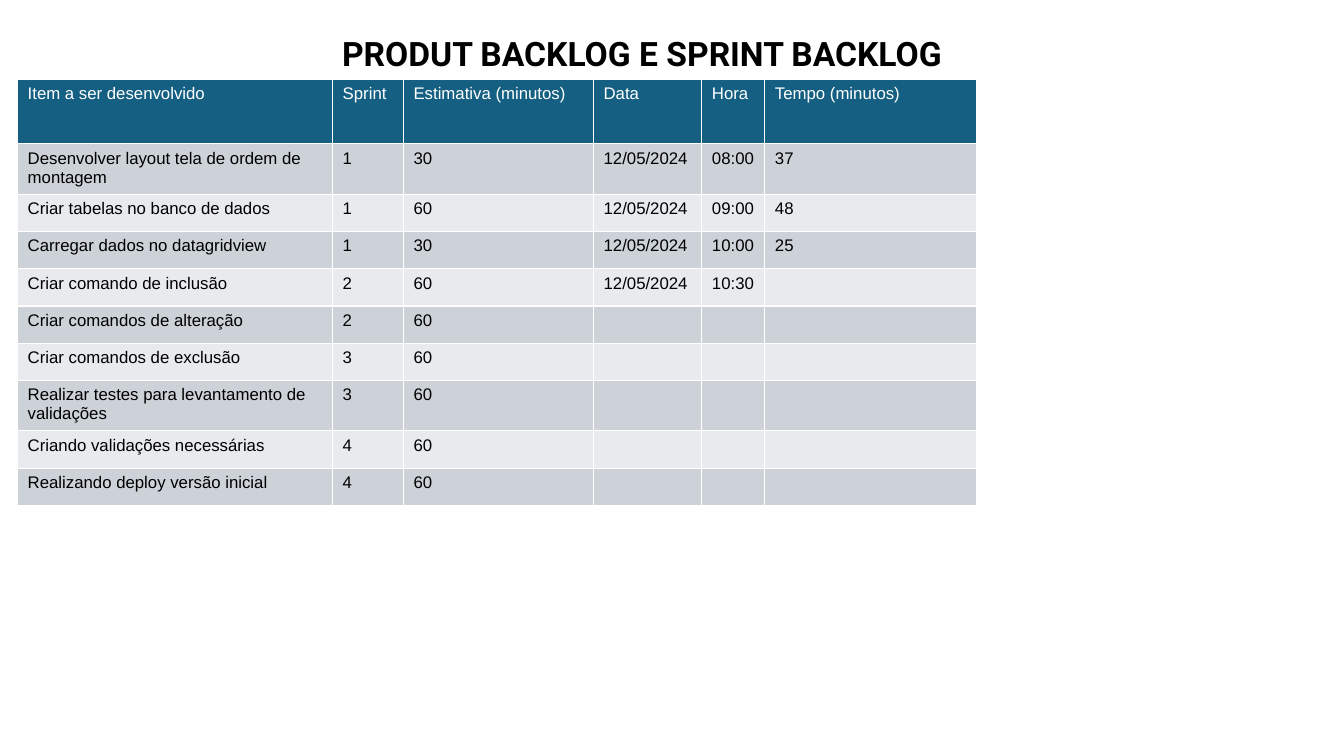
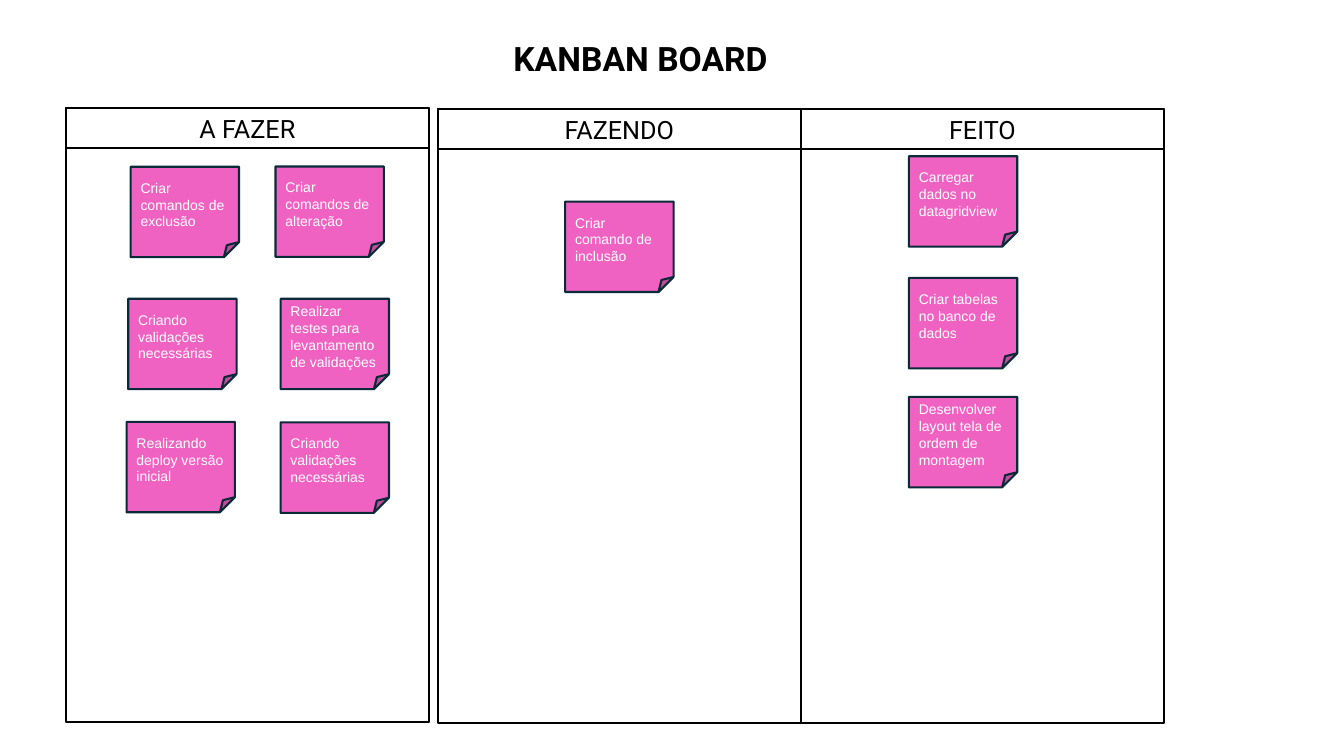
from lxml import etree
from pptx import Presentation
from pptx.dml.color import RGBColor
from pptx.enum.shapes import MSO_SHAPE
from pptx.enum.text import MSO_ANCHOR, MSO_AUTO_SIZE, PP_ALIGN
from pptx.oxml.ns import qn
from pptx.util import Pt

RECTANGLE, FOLDED_CORNER = MSO_SHAPE.RECTANGLE, MSO_SHAPE.FOLDED_CORNER
MIDDLE = MSO_ANCHOR.MIDDLE
FIT_SHAPE = MSO_AUTO_SIZE.SHAPE_TO_FIT_TEXT
LEFT, CENTER = PP_ALIGN.LEFT, PP_ALIGN.CENTER

BLACK = RGBColor(0x00, 0x00, 0x00)
WHITE = RGBColor(0xFF, 0xFF, 0xFF)
HEADER_BLUE = RGBColor(0x15, 0x60, 0x82)
BAND_DARK = RGBColor(0xCC, 0xD2, 0xD8)
BAND_LIGHT = RGBColor(0xE8, 0xEA, 0xED)
NOTE_PINK = RGBColor(0xF0, 0x62, 0xC1)
NOTE_EDGE = RGBColor(0x09, 0x2A, 0x39)

TITLE = {"name": "Roboto", "size": Pt(24), "bold": True}
HEADING = {"name": "Roboto", "size": Pt(18), "bold": False}
CELL = {"name": "Arial", "size": Pt(12), "bold": False}
NOTE = {"name": "Arial", "size": Pt(10), "bold": False}


def write(frame, text, style, color, align=LEFT):
    para = frame.paragraphs[0]
    para.alignment = align
    span = para.add_run()
    span.text = text
    for name, value in style.items():
        setattr(span.font, name, value)
    span.font.color.rgb = color


def add_box(shapes, kind, place, fill, edge):
    box = shapes.add_shape(kind, *(Pt(length) for length in place))
    box.shadow.inherit = False
    box.fill.solid()
    box.fill.fore_color.rgb = fill
    box.line.color.rgb = edge
    box.line.width = Pt(1.5)
    box.text_frame.word_wrap = True
    box.text_frame.vertical_anchor = MIDDLE
    return box


deck = Presentation()
deck.slide_width, deck.slide_height = Pt(960), Pt(540)

# Pages and their titles
pages = []
for title, left, top in [
    ("PRODUT BACKLOG E SPRINT BACKLOG", 26, 20),
    ("KANBAN BOARD", 25, 23.3),
]:
    page = deck.slides.add_slide(deck.slide_layouts[6])
    box = page.shapes.add_textbox(Pt(left), Pt(top), Pt(865), Pt(36))
    box.text_frame.word_wrap = True
    box.text_frame.auto_size = FIT_SHAPE
    write(box.text_frame, title, TITLE, BLACK, CENTER)
    pages.append(page)
backlog_page, kanban_page = pages

# Backlog table
backlog = [
    ("Item a ser desenvolvido", "Sprint", "Estimativa (minutos)", "Data", "Hora", "Tempo (minutos)"),
    ("Desenvolver layout tela de ordem de montagem", "1", "30", "12/05/2024", "08:00", "37"),
    ("Criar tabelas no banco de dados", "1", "60", "12/05/2024", "09:00", "48"),
    ("Carregar dados no datagridview", "1", "30", "12/05/2024", "10:00", "25"),
    ("Criar comando de inclusão", "2", "60", "12/05/2024", "10:30", ""),
    ("Criar comandos de alteração", "2", "60", "", "", ""),
    ("Criar comandos de exclusão", "3", "60", "", "", ""),
    ("Realizar testes para levantamento de validações", "3", "60", "", "", ""),
    ("Criando validações necessárias", "4", "60", "", "", ""),
    ("Realizando deploy versão inicial", "4", "60", "", "", ""),
]
column_widths = [225, 50.6, 135.8, 77.4, 45, 151.4]
header_height, row_height = 46, 26.6
table = backlog_page.shapes.add_table(
    len(backlog), len(column_widths), Pt(12.6), Pt(56.8), Pt(sum(column_widths)),
    Pt(header_height + row_height * (len(backlog) - 1)),
).table
for column, width in zip(table.columns, column_widths):
    column.width = Pt(width)
for index, texts in enumerate(backlog):
    is_header = index == 0
    table.rows[index].height = Pt(header_height if is_header else row_height)
    band = HEADER_BLUE if is_header else BAND_DARK if index % 2 else BAND_LIGHT
    for cell, text in zip(table.rows[index].cells, texts):
        cell.fill.solid()
        cell.fill.fore_color.rgb = band
        if text:
            write(cell.text_frame, text, CELL, WHITE if is_header else BLACK)
        else:
            # The end mark sets the line height of an empty cell
            end_mark = etree.SubElement(cell.text_frame.paragraphs[0]._p, qn("a:endParaRPr"))
            end_mark.set("sz", "1200")

# Kanban columns: heading, left, top
column_width, column_height, heading_height = 259.4, 438.5, 28.6
for heading, left, top in [
    ("A FAZER", 47, 77.3),
    ("FAZENDO", 312.7, 78),
    ("FEITO", 572.1, 78),
]:
    group = kanban_page.shapes.add_group_shape()
    add_box(group.shapes, RECTANGLE, (left, top, column_width, column_height), WHITE, BLACK)
    box = add_box(group.shapes, RECTANGLE, (left, top, column_width, heading_height), WHITE, BLACK)
    write(box.text_frame, heading, HEADING, BLACK, CENTER)

# Sticky notes: text, left, top
note_width, note_height = 77.4, 64.6
for text, left, top in [
    ("Desenvolver layout tela de ordem de montagem", 649.2, 283.5),
    ("Criar tabelas no banco de dados", 649.2, 198.5),
    ("Carregar dados no datagridview", 649.2, 111.6),
    ("Criar comando de inclusão", 403.7, 144),
    ("Criar comandos de alteração", 196.8, 118.9),
    ("Criar comandos de exclusão", 93.3, 119.1),
    ("Realizar testes para levantamento de validações", 200.4, 213.4),
    ("Criando validações necessárias", 91.6, 213.4),
    ("Criando validações necessárias", 200.4, 301.7),
    ("Realizando deploy versão inicial", 90.4, 301.3),
]:
    box = add_box(kanban_page.shapes, FOLDED_CORNER, (left, top, note_width, note_height),
                  NOTE_PINK, NOTE_EDGE)
    write(box.text_frame, text, NOTE, WHITE)

deck.save("out.pptx")
